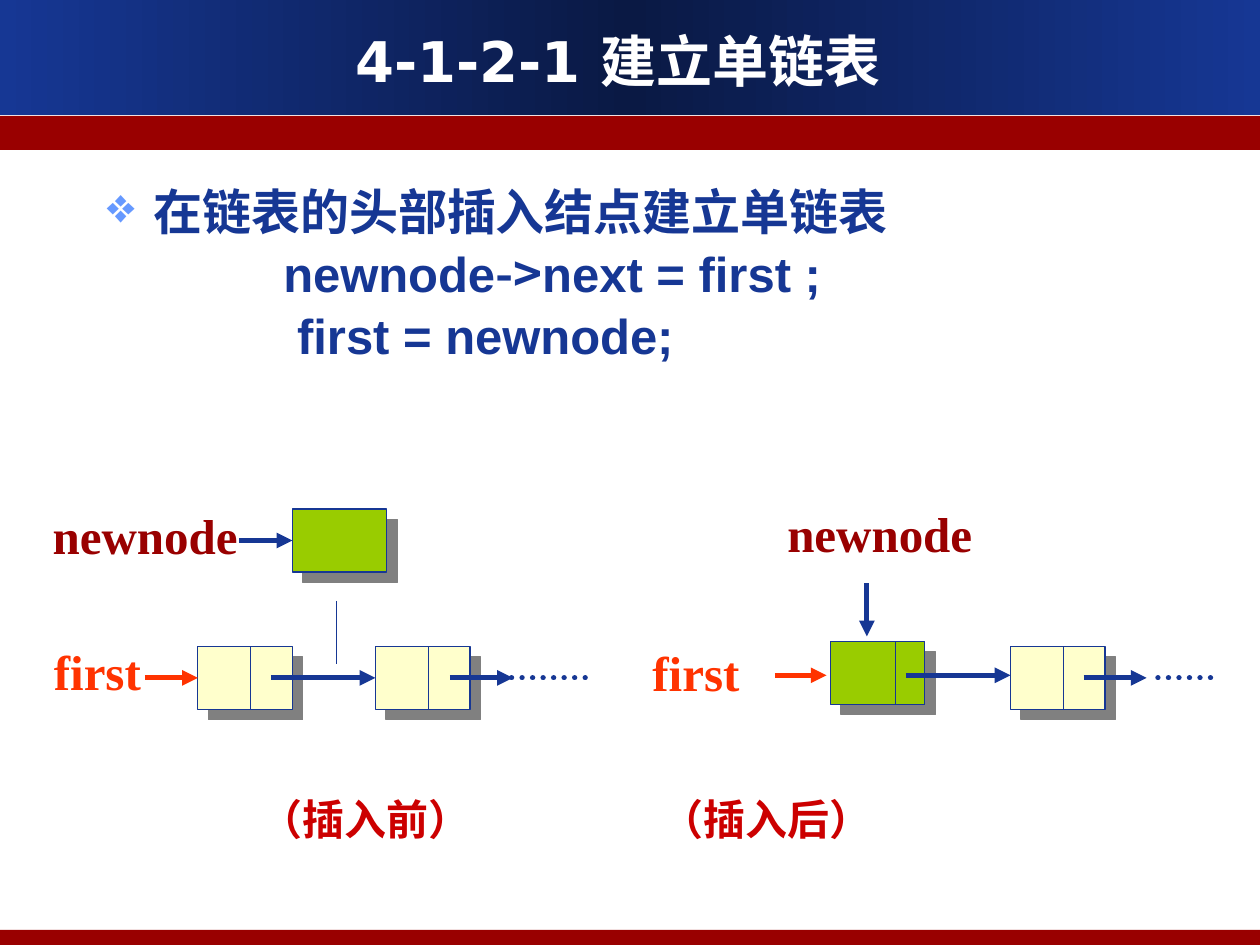
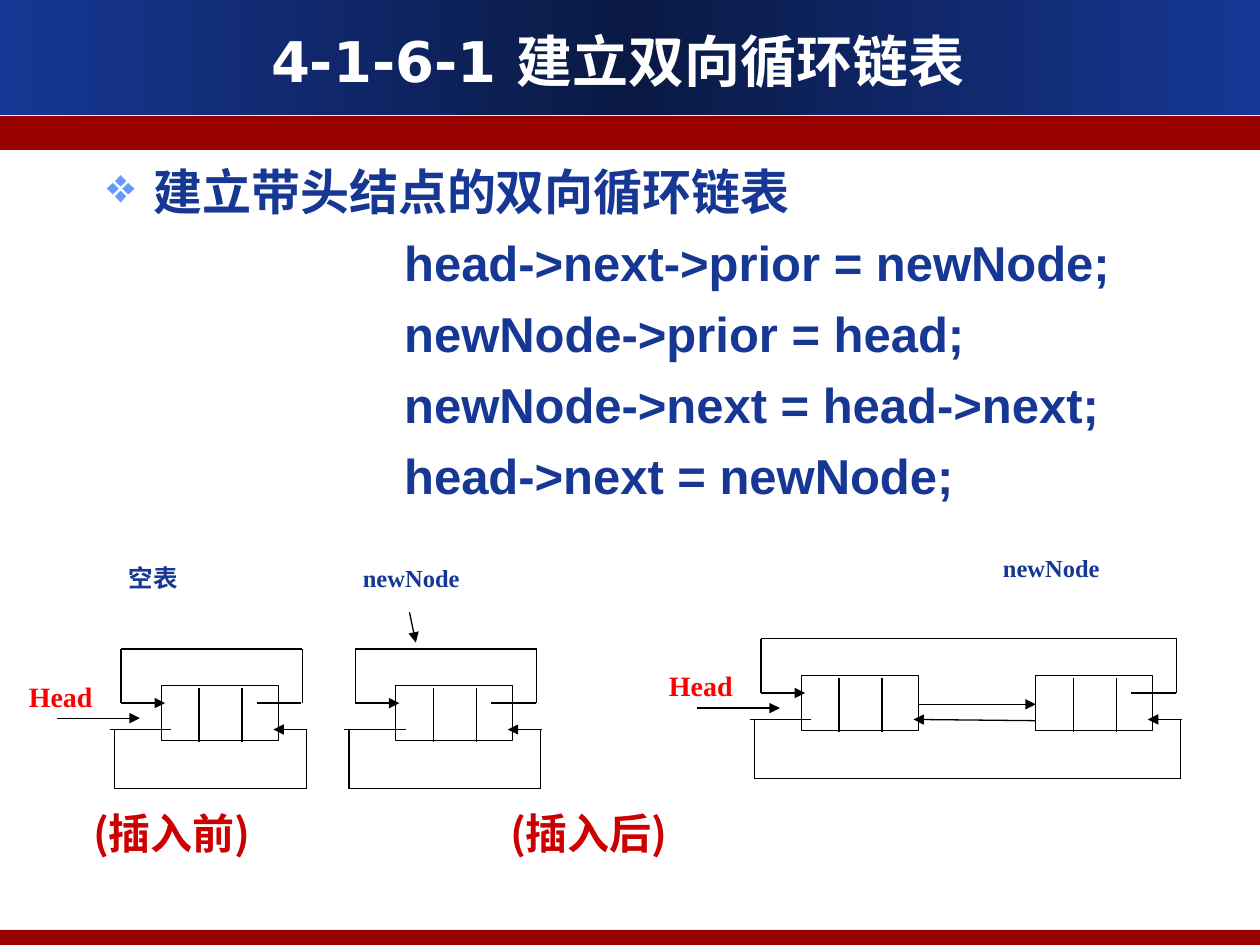
import pptx
import pptx.util
import pptx.dml.color
import pptx.enum.shapes
import pptx.enum.text
import pptx.oxml
import pptx.oxml.ns
from lxml import etree

Inches = pptx.util.Inches
Pt = pptx.util.Pt
qn = pptx.oxml.ns.qn
SHAPE = pptx.enum.shapes.MSO_SHAPE
ALIGN = pptx.enum.text.PP_ALIGN

NAVY, DEEP, WINE = "163794", "0A1944", "990000"
CREAM, GREEN, FLAME = "FFFFCC", "99CC00", "FF3300"
RED, PURE, BLACK, WHITE = "CC0000", "FF0000", "000000", "FFFFFF"
SKY, GRAY = "6699FF", "808080"
ARIAL, TIMES, HAN = "Arial", "Times New Roman", "Noto Sans CJK SC"
TITLE = "DejaVu Sans"


def paint(text):
    return pptx.dml.color.RGBColor.from_string(text)


def add(parent, tag, **attrs):
    return etree.SubElement(parent, qn(tag), attrs)


def tint(parent, text):
    add(parent, "a:srgbClr", val=text)


class Deck:
    def __init__(self):
        self.prs = pptx.Presentation()
        self.prs.slide_width = Inches(10)
        self.prs.slide_height = Inches(7.5)
        self.slide = None

    def page(self, title):
        """Start a slide with bands and a title."""
        self.slide = self.prs.slides.add_slide(self.prs.slide_layouts[6])
        self.fade(self.rect(0, 0, 10, 0.91, NAVY))
        self.rect(0, 0.92, 10, 0.27, WINE)
        self.rect(0, 7.38, 10, 0.12, WINE)
        frame = self.frame(0.28, 0.16, 9.25, 0.63)
        frame.vertical_anchor = pptx.enum.text.MSO_ANCHOR.MIDDLE
        para = frame.paragraphs[0]
        para.alignment = ALIGN.CENTER
        self.run(para, title, 32, TITLE, WHITE)

    def fade(self, shape):
        """Blend navy to dark and back across a shape."""
        props = shape._element.spPr
        old = props.find(qn("a:solidFill"))
        grad = etree.Element(qn("a:gradFill"))
        stops = add(grad, "a:gsLst")
        for pos, color in ((0, NAVY), (50000, DEEP), (100000, NAVY)):
            tint(add(stops, "a:gs", pos=str(pos)), color)
        add(grad, "a:lin", ang="10800000", scaled="0")
        props.replace(old, grad)

    def rect(self, x, y, w, h, fill, line=None):
        shape = self.slide.shapes.add_shape(
            SHAPE.RECTANGLE, Inches(x), Inches(y), Inches(w), Inches(h))
        shape.shadow.inherit = False
        shape.fill.solid()
        shape.fill.fore_color.rgb = paint(fill)
        if line:
            shape.line.color.rgb = paint(line)
            shape.line.width = Pt(0.75)
        else:
            shape.line.fill.background()
        return shape

    def cell(self, x, y, fill):
        """Draw a list node with a hard grey shadow."""
        shape = self.rect(x, y, 0.75, 0.5, fill, NAVY)
        effects = shape._element.spPr.find(qn("a:effectLst"))
        shade = add(effects, "a:outerShdw", dist=str(Pt(8.5)), dir="2700000",
                    algn="ctr", rotWithShape="0")
        tint(shade, GRAY)

    def line(self, x1, y1, x2, y2, color=BLACK, width=0.75,
             arrow=False, dots=False):
        link = self.slide.shapes.add_connector(
            pptx.enum.shapes.MSO_CONNECTOR.STRAIGHT,
            Inches(x1), Inches(y1), Inches(x2), Inches(y2))
        link.line.color.rgb = paint(color)
        link.line.width = Pt(width)
        edge = link.line._get_or_add_ln()
        if dots:
            edge.set("cap", "rnd")
            add(edge, "a:prstDash", val="sysDot")
        if arrow:
            add(edge, "a:tailEnd", type="triangle")
        add(link._element.spPr, "a:effectLst")

    def arrow(self, x1, y1, x2, y2, color=NAVY, width=3):
        self.line(x1, y1, x2, y2, color, width, arrow=True)

    def frame(self, x, y, w, h):
        box = self.slide.shapes.add_textbox(
            Inches(x), Inches(y), Inches(w), Inches(h))
        box.text_frame.word_wrap = True
        return box.text_frame

    def run(self, para, text, size, font, color):
        run = para.add_run()
        run.text = text
        run.font.size = Pt(size)
        run.font.name = font
        run.font.bold = True
        run.font.color.rgb = paint(color)
        add(run._r.get_or_add_rPr(), "a:ea", typeface=HAN)

    def name(self, x, y, w, text, color):
        """Write a pointer name in large type."""
        para = self.frame(x, y, w, 0.57).paragraphs[0]
        self.run(para, text, 28, TIMES, color)

    def tag(self, x, y, w, text, size, color):
        """Write a small label on white."""
        frame = self.rect(x, y, w, 0.44, WHITE).text_frame
        frame.margin_left = frame.margin_right = 0
        frame.margin_top = frame.margin_bottom = 0
        frame.vertical_anchor = pptx.enum.text.MSO_ANCHOR.TOP
        para = frame.paragraphs[0]
        para.alignment = ALIGN.JUSTIFY
        self.run(para, text, size, TIMES, color)

    def body(self, y, h, head, codes, gap):
        """Write a bullet and code lines, each as (indent, runs)."""
        frame = self.frame(0.75, y, 8.9, h)
        para = frame.paragraphs[0]
        props = para._p.get_or_add_pPr()
        props.set("marL", str(Inches(0.37)))
        props.set("indent", str(Inches(-0.37)))
        tint(add(props, "a:buClr"), SKY)
        add(props, "a:buChar", char="❖")
        self.run(para, head, 28, ARIAL, NAVY)
        for indent, runs in codes:
            para = frame.add_paragraph()
            para._p.get_or_add_pPr().set("marL", str(Inches(indent)))
            para.space_before = Pt(gap)
            for text, font in runs:
                self.run(para, text, 28, font, NAVY)

    def notes(self, x, y, w, stop, left, right):
        """Write the two captions, the second at a tab stop."""
        para = self.frame(x, y, w, 0.5).paragraphs[0]
        tabs = add(para._p.get_or_add_pPr(), "a:tabLst")
        add(tabs, "a:tab", pos=str(Inches(stop)), algn="l")
        self.run(para, left + "\t" + right, 24, HAN, RED)

    def ring(self, nodes, y):
        """Draw double-link nodes and the loops around them."""
        a, b = nodes[0], nodes[-1]
        for x in nodes:
            self.rect(x, y, 0.93, 0.44, WHITE, BLACK)
            for part in (0.3, 0.64):
                self.line(x + part, y + 0.02, x + part, y + 0.45)
        # Forward loop above
        top, mid = y - 0.29, y + 0.14
        self.line(b + 0.76, mid, b + 1.11, mid)
        self.line(b + 1.12, mid, b + 1.12, top)
        self.line(b + 1.12, top, a - 0.32, top)
        self.line(a - 0.32, top, a - 0.32, mid)
        self.arrow(a - 0.32, mid, a + 0.03, mid, BLACK, 0.75)
        # Backward loop below
        low, base = y + 0.35, y + 0.82
        self.line(a - 0.41, low, a + 0.08, low)
        self.line(a - 0.37, low, a - 0.37, base)
        self.line(a - 0.37, base, b + 1.15, base)
        self.line(b + 1.15, base, b + 1.15, low)
        self.arrow(b + 1.16, low, b + 0.89, low, BLACK, 0.75)


def single(deck):
    deck.page("4-1-2-1 建立单链表")
    deck.body(1.39, 2.35, "在链表的头部插入结点建立单链表", [
        (1.4, [("newnode", ARIAL), ("->", HAN), ("next = first ;", ARIAL)]),
        (1.51, [("first = newnode;", ARIAL)]),
    ], 1.8)
    deck.notes(1.97, 6.25, 5.85, 3.18, "（插入前）", "（插入后）")

    # Before the insert
    for x in (1.57, 2.98):
        deck.cell(x, 5.13, CREAM)
        deck.line(x + 0.42, 5.13, x + 0.42, 5.63, NAVY)
    deck.arrow(1.15, 5.38, 1.57, 5.38, FLAME)
    deck.arrow(2.15, 5.38, 2.98, 5.38)
    deck.arrow(3.57, 5.38, 4.07, 5.38)
    deck.line(4.06, 5.38, 4.65, 5.38, NAVY, 3, dots=True)
    deck.name(0.33, 5.04, 1, "first", FLAME)
    deck.cell(2.32, 4.04, GREEN)
    deck.line(2.67, 4.77, 2.67, 5.27, NAVY)
    deck.arrow(1.9, 4.29, 2.32, 4.29)
    deck.name(0.32, 3.96, 1.7, "newnode", WINE)

    # After the insert
    deck.cell(6.59, 5.09, GREEN)
    deck.line(7.11, 5.09, 7.11, 5.59, NAVY)
    deck.cell(8.02, 5.13, CREAM)
    deck.line(8.44, 5.13, 8.44, 5.63, NAVY)
    deck.name(6.15, 3.95, 1.7, "newnode", WINE)
    deck.name(5.08, 5.05, 1.02, "first", FLAME)
    deck.arrow(7.19, 5.36, 8.02, 5.36)
    deck.arrow(8.6, 5.38, 9.1, 5.38)
    deck.line(9.19, 5.38, 9.69, 5.38, NAVY, 3, dots=True)
    deck.arrow(6.15, 5.36, 6.56, 5.36, FLAME)
    deck.arrow(6.88, 4.63, 6.88, 5.05)


def double(deck):
    deck.page("4-1-6-1 建立双向循环链表")
    codes = ("head->next->prior = newNode;", "newNode->prior = head;",
             "newNode->next = head->next;", "head->next = newNode;")
    deck.body(1.23, 2.9, "建立带头结点的双向循环链表",
              [(2.36, [(code, ARIAL)]) for code in codes], 7)
    deck.notes(0.64, 6.36, 8.7, 3.31, "(插入前)", "(插入后)")

    # Labels
    deck.tag(1.02, 4.47, 0.72, "空表", 14, NAVY)
    for x, y in ((2.88, 4.47), (7.96, 4.39)):
        deck.tag(x, y, 1.27, "newNode", 14, NAVY)
    for x, y in ((0.23, 5.39), (5.31, 5.31)):
        deck.tag(x, y, 0.54, "Head", 16, PURE)
        deck.arrow(x + 0.22, y + 0.31, x + 0.88, y + 0.31, BLACK, 0.75)

    # Two rings before, one joined ring after
    deck.ring([1.28], 5.44)
    deck.ring([3.14], 5.44)
    deck.ring([6.36, 8.22], 5.36)
    deck.arrow(7.29, 5.59, 8.22, 5.59, BLACK, 0.75)
    deck.arrow(8.22, 5.72, 7.25, 5.71, BLACK, 0.75)
    deck.arrow(3.25, 4.86, 3.3, 5.1, BLACK, 0.75)


def main():
    deck = Deck()
    single(deck)
    double(deck)
    deck.prs.save("out.pptx")


if __name__ == "__main__":
    main()
